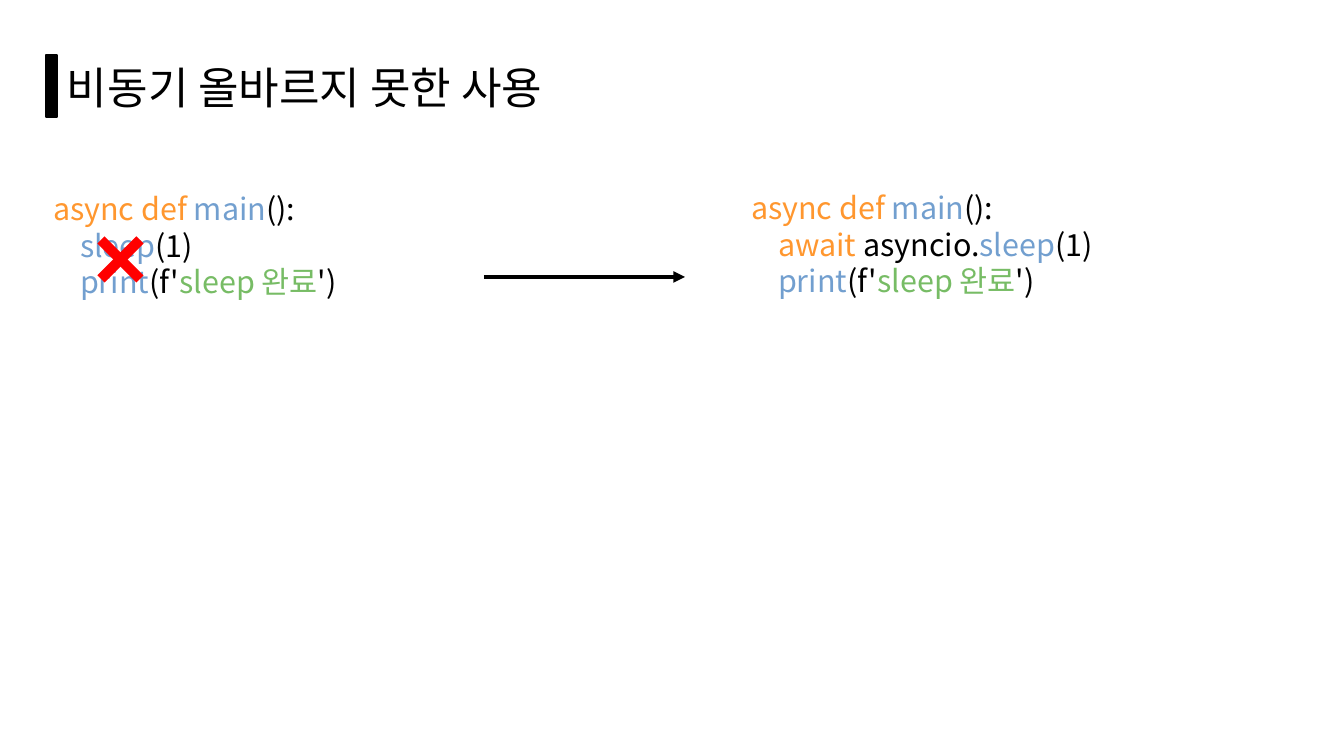
from lxml import etree
from pptx import Presentation
from pptx import util as u
from pptx.dml.color import RGBColor
from pptx.enum import shapes, text
from pptx.oxml.ns import qn

FONT = "Noto Sans CJK KR"
BLACK = RGBColor(0x00, 0x00, 0x00)
RED = RGBColor(0xFF, 0x00, 0x00)
ORANGE = RGBColor(0xFF, 0x97, 0x2F)
BLUE = RGBColor(0x72, 0x9F, 0xCF)
GREEN = RGBColor(0x77, 0xBC, 0x65)

SCALE = 7495
SLIDE = (1344, 756)
INDENT = 27
CODE_SIZE = (443, 248)
CODE_MARGINS = (12, 6)

TITLE = [(0, [("비동기 올바르지 못한 사용", BLACK)])]
TITLE_PLACE = (67, 48, 1210, 77)
BAR_PLACE = (46, 55, 11, 62)

HEADER = (0, [("async def ", ORANGE), ("main", BLUE), ("():", BLACK)])
PRINT = (1, [("print", BLUE), ("(f'", BLACK), ("sleep 완료", GREEN), ("')", BLACK)])
WRONG_CALL = (1, [("sleep", BLUE), ("(1)", BLACK)])
RIGHT_CALL = (1, [("await", ORANGE), (" asyncio.", BLACK), ("sleep", BLUE), ("(1)", BLACK)])
CODES = [
    ((41, 184), [HEADER, WRONG_CALL, PRINT]),
    ((739, 183), [HEADER, RIGHT_CALL, PRINT]),
]

CROSS = (101, 240, 140, 279)
ARROW = (484, 277, 685, 277)


def px(*lengths):
    return [u.Emu(length * SCALE) for length in lengths]


def add_text(page, place, lines, size, margins, anchor):
    box = page.shapes.add_textbox(*px(*place))
    frame = box.text_frame
    frame.word_wrap = True
    frame.vertical_anchor = anchor
    frame.margin_left = frame.margin_right = px(margins[0])[0]
    frame.margin_top = frame.margin_bottom = px(margins[1])[0]
    for number, (level, spans) in enumerate(lines):
        para = frame.add_paragraph() if number else frame.paragraphs[0]
        if level:
            para._p.get_or_add_pPr().set("marL", str(level * INDENT * SCALE))
        for wording, color in spans:
            span = para.add_run()
            span.text = wording
            span.font.size = u.Pt(size)
            span.font.name = FONT
            span.font.color.rgb = color
            east_asian = etree.SubElement(span.font._element, qn("a:ea"))
            east_asian.set("typeface", FONT)


def add_line(page, ends, color, width, arrow=False):
    line = page.shapes.add_connector(shapes.MSO_CONNECTOR.STRAIGHT, *px(*ends))
    line.line.color.rgb = color
    line.line.width = u.Pt(width)
    if arrow:
        head = etree.SubElement(line.line._get_or_add_ln(), qn("a:tailEnd"))
        head.set("type", "triangle")
    etree.SubElement(line._element.spPr, qn("a:effectLst"))


def main():
    deck = Presentation()
    deck.slide_width, deck.slide_height = px(*SLIDE)
    page = deck.slides.add_slide(deck.slide_layouts[6])

    add_text(page, TITLE_PLACE, TITLE, 26, (0, 0), text.MSO_ANCHOR.MIDDLE)

    bar = page.shapes.add_shape(shapes.MSO_SHAPE.RECTANGLE, *px(*BAR_PLACE))
    bar.shadow.inherit = False
    bar.fill.solid()
    bar.fill.fore_color.rgb = BLACK
    bar.line.color.rgb = BLACK
    bar.line.width = u.Pt(0)

    for corner, lines in CODES:
        add_text(page, corner + CODE_SIZE, lines, 18, CODE_MARGINS, text.MSO_ANCHOR.TOP)

    left, top, right, bottom = CROSS
    add_line(page, (left, top, right, bottom), RED, 6)
    add_line(page, (right, top, left, bottom), RED, 6)
    add_line(page, ARROW, BLACK, 2.3, arrow=True)

    deck.save("out.pptx")


if __name__ == "__main__":
    main()
